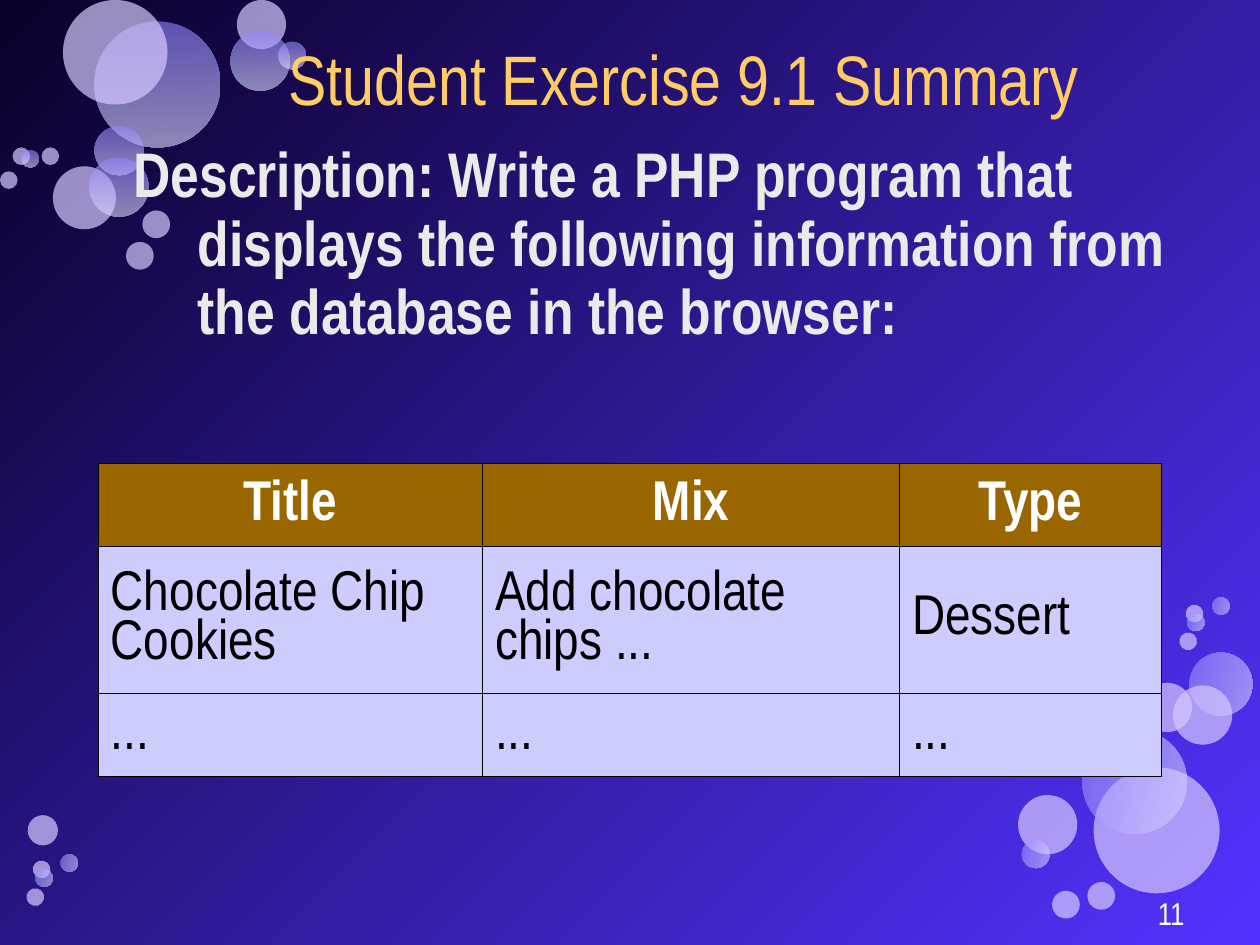
from dataclasses import dataclass

from lxml.etree import SubElement
from pptx import Presentation
from pptx.dml.color import RGBColor
from pptx.enum.shapes import MSO_SHAPE
from pptx.enum.text import MSO_ANCHOR, PP_ALIGN
from pptx.oxml.ns import qn
from pptx.util import Inches, Pt


@dataclass(frozen=True)
class Theme:
    font: str = "Arial Narrow"
    dark: str = "0B0029"
    bright: str = "5332FF"
    pale: str = "D7C8FE"
    glow: tuple = ("9185FF", "DEDCFF")
    gold: str = "FFCC66"
    light: str = "EAEAEA"
    white: str = "FFFFFF"
    black: str = "000000"
    head: str = "996600"
    cell: str = "CCCCFF"
    title: int = 40
    body: int = 36
    grid: int = 32
    small: int = 18


THEME = Theme()

# Bubbles: left, top, size, and whether shaded (1) or plain (0)
TOP = [
    (0.75, 0.17, 1, 1), (0.42, 1.32, 0.5, 0), (0.75, 1, 0.39, 1),
    (0.71, 1.25, 0.47, 1), (0.5, 0, 0.83, 0), (1.88, 0, 0.39, 0),
    (1.83, 0.25, 0.47, 1), (2.21, 0.33, 0.22, 1), (1.13, 1.67, 0.22, 0),
    (0.1, 1.17, 0.14, 0), (1, 1.92, 0.22, 0), (0, 1.36, 0.14, 0),
    (0.17, 1.19, 0.14, 1), (0.33, 1.17, 0.14, 0),
]
RIGHT = [
    (0.6, 1.35, 1, 0), (1.36, 0.44, 0.5, 1), (0.99, 0.68, 0.39, 0),
    (1.23, 0.7, 0.47, 0), (0.51, 1.05, 0.83, 1), (0, 1.57, 0.47, 0),
    (0.03, 1.93, 0.22, 1), (0.27, 2.33, 0.22, 0), (1.33, 0.06, 0.14, 0),
    (0.55, 2.26, 0.22, 0), (1.54, 0, 0.14, 1), (1.34, 0.13, 0.14, 1),
    (1.28, 0.28, 0.14, 0),
]
LEFT = [
    (0.01, 0, 0.24, 0), (0.05, 0.36, 0.14, 0), (0.27, 0.31, 0.14, 1),
    (0.07, 0.43, 0.14, 1), (0, 0.58, 0.14, 0),
]

ROWS = [
    ("Title", "Mix", "Type"),
    ("Chocolate Chip Cookies", "Add chocolate chips ...", "Dessert"),
    ("...", "...", "..."),
]


def rgb(code):
    return RGBColor.from_string(code)


def shade(fill, codes, angle):
    """Fill with a two-colour gradient, its angle counted clockwise."""
    fill.gradient()
    fill.gradient_angle = 360 - angle
    for stop, code in zip(fill.gradient_stops, codes):
        stop.color.rgb = rgb(code)


def write(frame, text, size, color, bold=False, align=PP_ALIGN.LEFT,
          anchor=MSO_ANCHOR.MIDDLE, space=0.85, hang=0):
    frame.word_wrap = True
    frame.vertical_anchor = anchor
    para = frame.paragraphs[0]
    para.alignment = align
    para.line_spacing = space
    if hang:
        props = para._p.get_or_add_pPr()
        props.set("marL", str(Inches(hang)))
        props.set("indent", str(-Inches(hang)))
    run = para.add_run()
    run.text = text
    run.font.name = THEME.font
    run.font.size = Pt(size)
    run.font.bold = bold
    run.font.color.rgb = rgb(color)


def add_text(slide, box, text, inset=True, **style):
    frame = slide.shapes.add_textbox(*map(Inches, box)).text_frame
    if not inset:
        frame.margin_left = frame.margin_right = 0
        frame.margin_top = frame.margin_bottom = 0
    write(frame, text, **style)


def add_bubbles(slide, box, spots, turn=0):
    """Draw a cluster from the box's corner; turned bubbles are also flipped."""
    left, top = box
    for x, y, size, shaded in spots:
        ball = slide.shapes.add_shape(
            MSO_SHAPE.OVAL, Inches(left + x), Inches(top + y),
            Inches(size), Inches(size))
        ball.shadow.inherit = False
        ball.line.fill.background()
        if shaded:
            shade(ball.fill, THEME.glow, 90)
        else:
            ball.fill.solid()
            ball.fill.fore_color.rgb = rgb(THEME.pale)
        for color in ball._element.spPr.iter(qn("a:srgbClr")):
            SubElement(color, qn("a:alpha"), val="60000" if shaded else "70000")
        if turn:
            ball.rotation = turn
            ball._element.spPr.xfrm.set("flipV", "1")


def set_cell(cell, text, head):
    write(cell.text_frame, text, size=THEME.grid, bold=head, space=0.94,
          color=THEME.white if head else THEME.black,
          align=PP_ALIGN.CENTER if head else PP_ALIGN.LEFT)
    cell.vertical_anchor = MSO_ANCHOR.MIDDLE
    props = cell._tc.get_or_add_tcPr()
    for side in ("lnL", "lnR", "lnT", "lnB"):
        line = SubElement(props, qn(f"a:{side}"), w=str(Pt(0.45)))
        solid = SubElement(line, qn("a:solidFill"))
        SubElement(solid, qn("a:srgbClr"), val=THEME.black)
    cell.fill.solid()
    cell.fill.fore_color.rgb = rgb(THEME.head if head else THEME.cell)


def add_grid(slide, box, widths, heights):
    table = slide.shapes.add_table(
        len(ROWS), len(ROWS[0]), *map(Inches, box)).table
    for col, width in zip(table.columns, widths):
        col.width = Inches(width)
    for row, height in zip(table.rows, heights):
        row.height = Inches(height)
    for r, texts in enumerate(ROWS):
        for c, text in enumerate(texts):
            set_cell(table.cell(r, c), text, head=r == 0)


def main():
    deck = Presentation()
    deck.slide_width, deck.slide_height = Inches(10), Inches(7.5)
    slide = deck.slides.add_slide(deck.slide_layouts[6])
    shade(slide.background.fill, (THEME.dark, THEME.bright), 45)
    add_bubbles(slide, (0, 0), TOP)
    add_bubbles(slide, (8.08, 4.74), RIGHT, turn=103.3)
    add_bubbles(slide, (0.21, 6.47), LEFT, turn=103.3)
    add_text(slide, (1.04, 0.23, 8.77, 0.88), "Student Exercise 9.1 Summary",
             inset=False, size=THEME.title, color=THEME.gold,
             align=PP_ALIGN.CENTER)
    add_grid(slide, (0.78, 3.68, 8.44, 2.49),
             widths=(3.05, 3.31, 2.08), heights=(0.66, 1.16, 0.66))
    add_text(slide, (1.06, 1.13, 8.62, 2.37),
             "Description: Write a PHP program that displays the following "
             "information from the database in the browser:",
             inset=False, size=THEME.body, color=THEME.light, bold=True,
             anchor=MSO_ANCHOR.TOP, space=0.91, hang=0.51)
    add_text(slide, (7.17, 7.13, 2.33, 0.28), "11", size=THEME.small,
             color=THEME.white, align=PP_ALIGN.RIGHT)
    deck.save("out.pptx")


if __name__ == "__main__":
    main()
